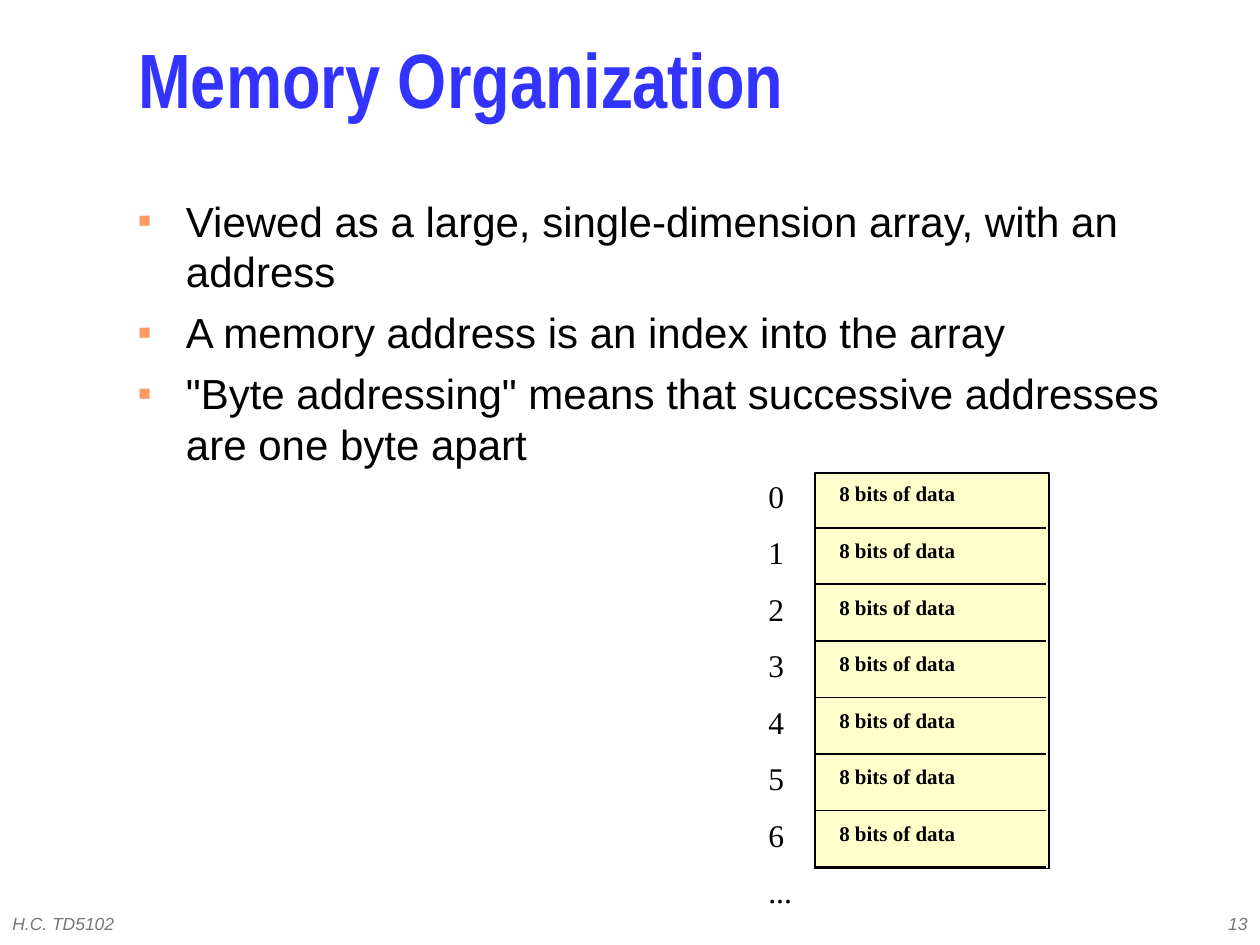
from lxml.etree import SubElement
from pptx import Presentation
from pptx.dml.color import RGBColor
from pptx.enum.shapes import MSO_CONNECTOR, MSO_SHAPE
from pptx.enum.text import MSO_ANCHOR as ANCHOR, PP_ALIGN as ALIGN
from pptx.oxml.ns import qn
from pptx.util import Cm, Pt

rgb = RGBColor.from_string
SERIF = "Times New Roman"


def add_text(shapes, lines, x, y, w, h, size, font="Arial", color="000000",
             bold=False, italic=False, align=ALIGN.LEFT, anchor=ANCHOR.TOP,
             spacing=None, before=0, inset=(0.25, 0.13), bullet=None):
    """Add a text box, one paragraph per line; lengths in cm, sizes in points."""
    tf = shapes.add_textbox(Cm(x), Cm(y), Cm(w), Cm(h)).text_frame
    tf.word_wrap = True
    tf.vertical_anchor = anchor
    tf.margin_left = tf.margin_right = Cm(inset[0])
    tf.margin_top = tf.margin_bottom = Cm(inset[1])
    for i, line in enumerate(lines):
        p = tf.add_paragraph() if i else tf.paragraphs[0]
        p.alignment = align
        p.line_spacing = spacing
        p.space_before = Pt(before)
        r = p.add_run()
        r.text = line
        r.font.size, r.font.name = Pt(size), font
        r.font.bold, r.font.italic = bold, italic
        r.font.color.rgb = rgb(color)
        if bullet:
            pPr = p._p.get_or_add_pPr()
            pPr.set("marL", str(Cm(0.96)))
            pPr.set("indent", str(-Cm(0.96)))
            SubElement(SubElement(pPr, qn("a:buClr")), qn("a:srgbClr"), val=bullet)
            SubElement(pPr, qn("a:buSzPct"), val="50000")
            SubElement(pPr, qn("a:buFont"), typeface="Arial")
            SubElement(pPr, qn("a:buChar"), char="■")


prs = Presentation()
prs.slide_width, prs.slide_height = Cm(25.4), Cm(19.05)
s = prs.slides.add_slide(prs.slide_layouts[6])

# Footer
footer = dict(size=10, color="777777", italic=True, anchor=ANCHOR.MIDDLE)
add_text(s.shapes, ["H.C. TD5102"], 0, 18.2, 8.05, 0.85, **footer)
add_text(s.shapes, ["13"], 20.12, 18.2, 5.28, 0.85, align=ALIGN.RIGHT, **footer)

# Title and bullets
add_text(s.shapes, ["Memory Organization"], 2.54, 0.42, 21.8, 2.75, size=44,
         font="Arial Narrow", color="3333FF", bold=True, anchor=ANCHOR.MIDDLE,
         spacing=0.7)
add_text(s.shapes, [
    "Viewed as a large, single-dimension array, with an address",
    "A memory address is an index into the array",
    '"Byte addressing" means that successive addresses are one byte apart',
], 2.54, 3.81, 21.8, 13.12, size=24, color="010000", before=6, bullet="FF9966")

# Memory array
ROWS, PITCH = 7, 1.14
LEFT, TOP = 16.43, 9.53
memory = s.shapes.add_group_shape().shapes

sp = memory.add_shape(MSO_SHAPE.RECTANGLE, Cm(LEFT), Cm(TOP), Cm(4.72), Cm(ROWS * PITCH))
sp.shadow.inherit = False
sp.fill.solid()
sp.fill.fore_color.rgb = rgb("FFFFCC")
sp.line.color.rgb = rgb("000000")
sp.line.width = Pt(1)

for row in range(ROWS):
    y = Cm(TOP + 1.11 + row * PITCH)
    divider = memory.add_connector(MSO_CONNECTOR.STRAIGHT, Cm(LEFT), y, Cm(LEFT + 4.65), y)
    divider.line.color.rgb = rgb("000000")
    divider.line.width = Pt(1)
    SubElement(divider._element.spPr, qn("a:effectLst"))

for row, address in enumerate([*map(str, range(ROWS)), "..."]):
    add_text(memory, [address], 15.44, TOP + 0.02 + row * PITCH, 2.11, 1.31,
             size=18, font=SERIF, spacing=Pt(21), inset=(0.05, 0.08))

for row in range(ROWS):
    add_text(memory, ["8 bits of data"], 16.87, TOP + 0.1 + row * PITCH, 5.36, 1.02,
             size=12, font=SERIF, bold=True, spacing=Pt(14), inset=(0.05, 0.08))

prs.save("out.pptx")
